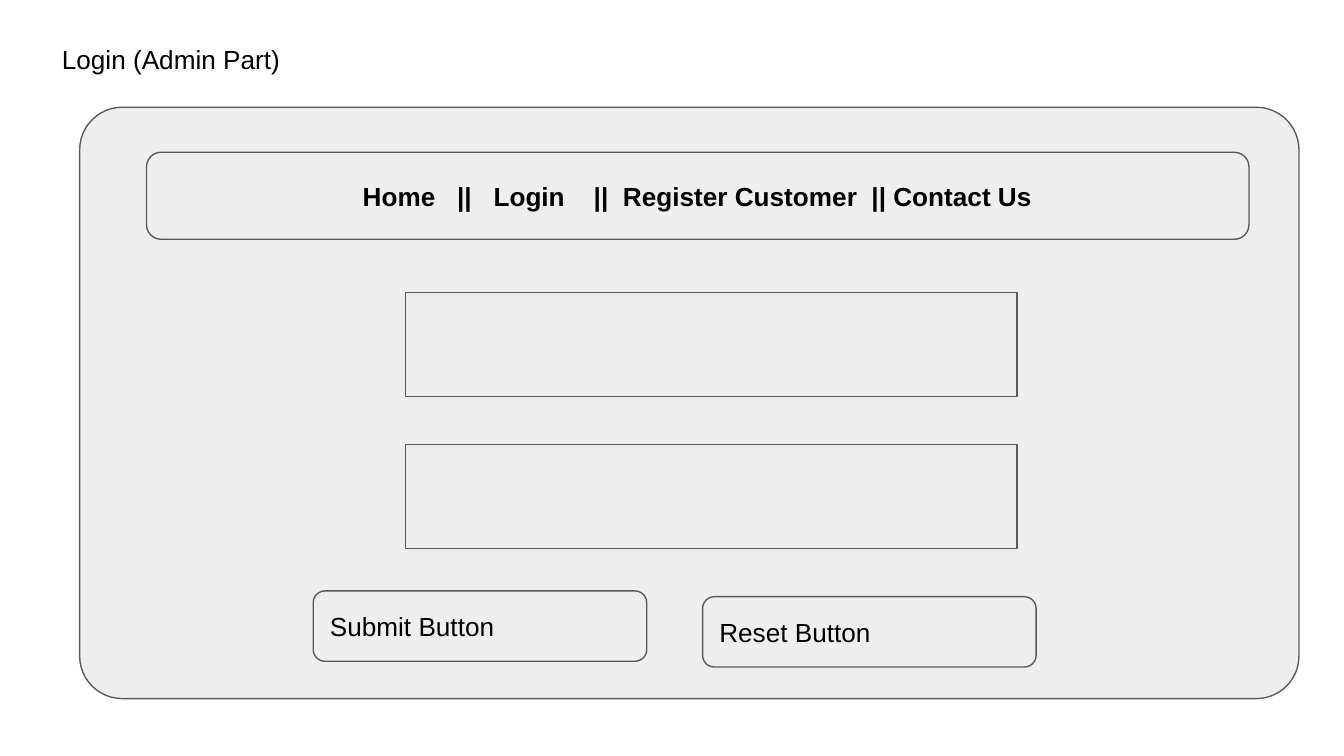
"""Build the admin login wireframe slide."""
from pptx import Presentation
from pptx.dml.color import RGBColor
from pptx.enum.shapes import MSO_SHAPE
from pptx.enum.text import MSO_ANCHOR, PP_ALIGN
from pptx.util import Pt

RECTANGLE = MSO_SHAPE.RECTANGLE
ROUNDED = MSO_SHAPE.ROUNDED_RECTANGLE
LEFT, CENTER = PP_ALIGN.LEFT, PP_ALIGN.CENTER
TOP, MIDDLE = MSO_ANCHOR.TOP, MSO_ANCHOR.MIDDLE


def color(value):
    return RGBColor.from_string(value)


class Wireframe:
    font, size, ink = "Arial", 14, "000000"
    fill, line, line_width = "EEEEEE", "595959", 0.75
    inset = 7.2

    def __init__(self, slide):
        self.slide = slide

    def set_text(self, shape, text, align=LEFT, anchor=MIDDLE, bold=False):
        frame = shape.text_frame
        frame.word_wrap = True
        frame.vertical_anchor = anchor
        frame.margin_left = frame.margin_right = Pt(self.inset)
        frame.margin_top = frame.margin_bottom = Pt(self.inset)
        paragraph = frame.paragraphs[0]
        paragraph.alignment = align
        paragraph.line_spacing = 1.0
        paragraph.space_before = Pt(0)
        run = paragraph.add_run()
        run.text = text
        run.font.name, run.font.size = self.font, Pt(self.size)
        run.font.bold = bold
        run.font.color.rgb = color(self.ink)

    def title(self, text, left, top, width, height):
        shape = self.slide.shapes.title
        shape.left, shape.top = Pt(left), Pt(top)
        shape.width, shape.height = Pt(width), Pt(height)
        self.set_text(shape, text, anchor=TOP)

    def box(self, left, top, width, height, kind=ROUNDED, radius=0.167, text="", **style):
        shape = self.slide.shapes.add_shape(kind, Pt(left), Pt(top), Pt(width), Pt(height))
        shape.shadow.inherit = False
        if kind == ROUNDED:
            shape.adjustments[0] = radius
        shape.fill.solid()
        shape.fill.fore_color.rgb = color(self.fill)
        shape.line.color.rgb = color(self.line)
        shape.line.width = Pt(self.line_width)
        if text:
            self.set_text(shape, text, **style)


presentation = Presentation()
presentation.slide_width, presentation.slide_height = Pt(720), Pt(405)
wireframe = Wireframe(presentation.slides.add_slide(presentation.slide_layouts[5]))

wireframe.title("Login (Admin Part)", 25.9, 15.8, 676.8, 31.7)
wireframe.box(42.7, 57.5, 653.2, 316.8, radius=0.072)
for field_top in (156.8, 238.2):
    wireframe.box(217.2, field_top, 327.7, 55.6, kind=RECTANGLE)
for label, left, top in (("Submit Button", 167.8, 316.6), ("Reset Button", 376.4, 319.7)):
    wireframe.box(left, top, 178.7, 37.7, text=label)
wireframe.box(78.5, 81.6, 590.6, 46.6, align=CENTER, bold=True,
              text="Home   ||   Login    ||  Register Customer  || Contact Us")

presentation.save("out.pptx")
